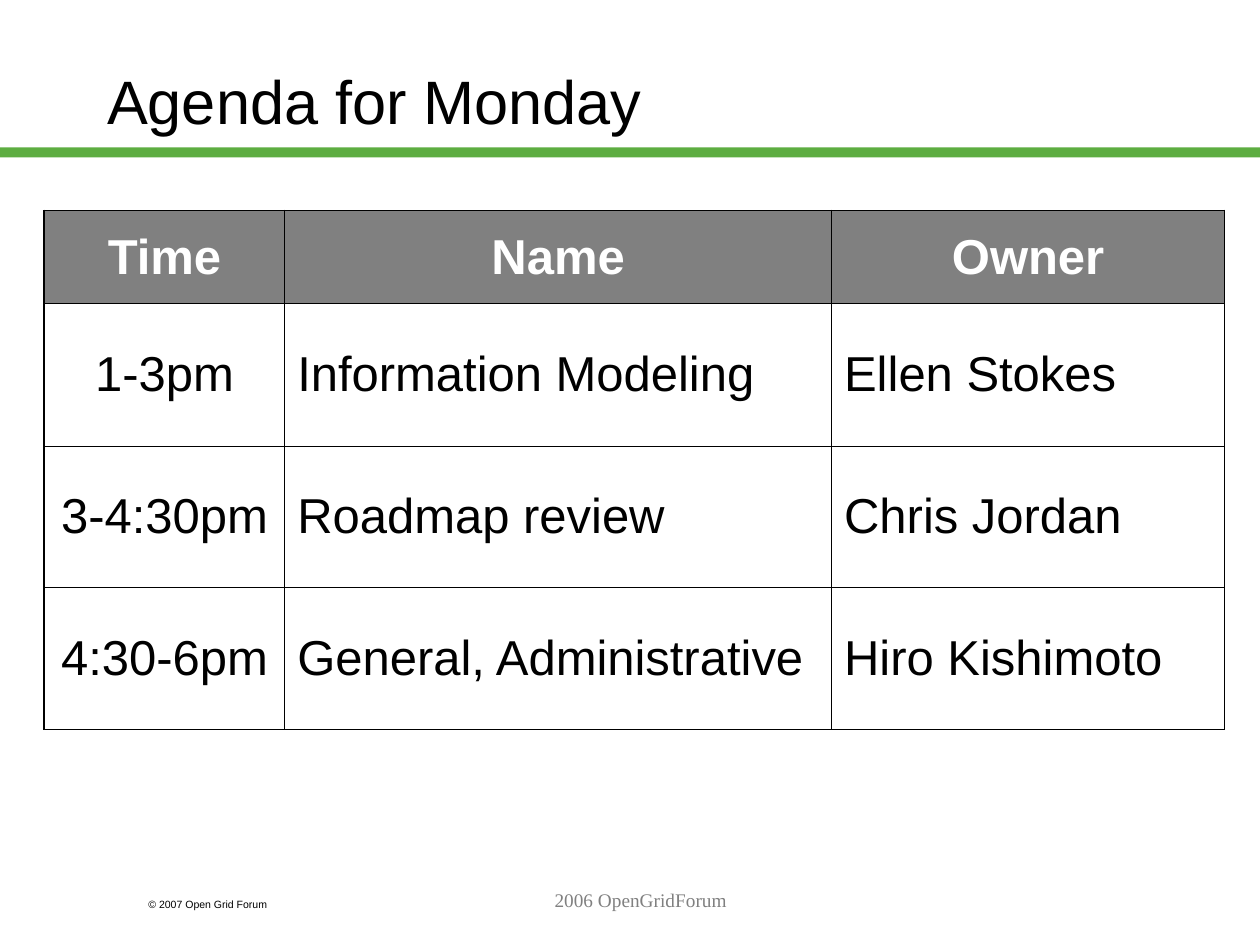
from typing import NamedTuple

from lxml.etree import SubElement
from pptx import Presentation
from pptx.dml.color import RGBColor
from pptx.enum.shapes import MSO_SHAPE
from pptx.enum.text import MSO_ANCHOR, MSO_AUTO_SIZE, PP_ALIGN
from pptx.oxml.ns import qn
from pptx.util import Inches, Pt

WIDTH, HEIGHT = Inches(10), Inches(7.5)
COLUMNS, ROWS = 100, 75  # square layout grid over the slide
BLACK, WHITE, GRAY, GREEN = "000000", "FFFFFF", "808080", "5DAD41"
THIN, THICK = 0.45, 1.08


class Area(NamedTuple):
    """Position and size in grid columns and rows."""
    left: float
    top: float
    width: float
    height: float


class Style(NamedTuple):
    size: float
    color: str = BLACK
    font: str = "Arial"
    bold: bool = False
    align: PP_ALIGN = PP_ALIGN.LEFT


class Label(NamedTuple):
    text: str
    area: Area
    style: Style


TITLE = Label("Agenda for Monday", Area(7.5, 1.7, 85, 12.5), Style(35))
FOOTERS = [
    Label("© 2007 Open Grid Forum", Area(10.8, 70.8, 15, 2), Style(6)),
    Label("2006 OpenGridForum", Area(21.7, 70, 58.3, 5),
          Style(11, GRAY, "Times New Roman", align=PP_ALIGN.CENTER)),
]
BAR = Area(0, 11.7, 100, 0.8)
TABLE = Area(3.5, 16.7, 93.7, 41.2)
COLUMN_WIDTHS = [19.1, 43.4, 31.2]
ROW_HEIGHTS = [7.4, 11.3, 11.2, 11.3]
AGENDA = [
    ("Time", "Name", "Owner"),
    ("1-3pm", "Information Modeling", "Ellen Stokes"),
    ("3-4:30pm", "Roadmap review", "Chris Jordan"),
    ("4:30-6pm", "General, Administrative", "Hiro Kishimoto"),
]
HEADER = Style(28, WHITE, bold=True, align=PP_ALIGN.CENTER)
TIME = Style(28, align=PP_ALIGN.CENTER)
ENTRY = Style(28)


def rgb(color: str) -> RGBColor:
    return RGBColor.from_string(color)


def across(columns: float) -> int:
    return round(WIDTH * columns / COLUMNS)


def down(rows: float) -> int:
    return round(HEIGHT * rows / ROWS)


def place(area: Area) -> tuple[int, int, int, int]:
    return across(area.left), down(area.top), across(area.width), down(area.height)


def write(frame, text: str, style: Style) -> None:
    para = frame.paragraphs[0]
    para.alignment = style.align
    para.space_before = Pt(0)
    span = para.add_run()
    span.text = text
    span.font.size = Pt(style.size)
    span.font.name = style.font
    span.font.bold = style.bold
    span.font.color.rgb = rgb(style.color)


def add_title(page, label: Label) -> None:
    title = page.shapes.title
    title.left, title.top, title.width, title.height = place(label.area)
    frame = title.text_frame
    frame.auto_size = MSO_AUTO_SIZE.NONE
    frame.vertical_anchor = MSO_ANCHOR.MIDDLE
    write(frame, label.text, label.style)


def add_label(page, label: Label) -> None:
    box = page.shapes.add_textbox(*place(label.area))
    box.text_frame.word_wrap = True
    write(box.text_frame, label.text, label.style)


def add_bar(page, area: Area, color: str) -> None:
    bar = page.shapes.add_shape(MSO_SHAPE.RECTANGLE, *place(area))
    bar.shadow.inherit = False
    bar.fill.solid()
    bar.fill.fore_color.rgb = rgb(color)
    bar.line.fill.background()


def add_borders(cell, outer_sides: dict[str, bool]) -> None:
    """Draw thick lines on the table's outer sides and thin lines elsewhere."""
    properties = cell._tc.get_or_add_tcPr()
    for side, is_outer in outer_sides.items():
        line = SubElement(properties, qn(f"a:ln{side}"),
                          w=str(Pt(THICK if is_outer else THIN)))
        fill = SubElement(line, qn("a:solidFill"))
        SubElement(fill, qn("a:srgbClr"), val=BLACK)


def add_agenda(page) -> None:
    last_row, last_column = len(AGENDA) - 1, len(COLUMN_WIDTHS) - 1
    table = page.shapes.add_table(
        len(AGENDA), len(COLUMN_WIDTHS), *place(TABLE)).table
    table.first_row = table.horz_banding = False
    for column, width in zip(table.columns, COLUMN_WIDTHS):
        column.width = across(width)
    for row, height in zip(table.rows, ROW_HEIGHTS):
        row.height = down(height)
    for r, texts in enumerate(AGENDA):
        for c, text in enumerate(texts):
            cell = table.cell(r, c)
            cell.vertical_anchor = MSO_ANCHOR.MIDDLE
            add_borders(cell, {"L": c == 0, "R": c == last_column,
                               "T": r == 0, "B": r == last_row})
            if r == 0:
                cell.fill.solid()
                cell.fill.fore_color.rgb = rgb(GRAY)
                style = HEADER
            else:
                cell.fill.background()
                style = TIME if c == 0 else ENTRY
            write(cell.text_frame, text, style)


def main() -> None:
    deck = Presentation()
    deck.slide_width, deck.slide_height = WIDTH, HEIGHT
    page = deck.slides.add_slide(deck.slide_layouts.get_by_name("Title Only"))
    add_bar(page, BAR, GREEN)
    add_title(page, TITLE)
    add_agenda(page)
    for footer in FOOTERS:
        add_label(page, footer)
    deck.save("out.pptx")


if __name__ == "__main__":
    main()
